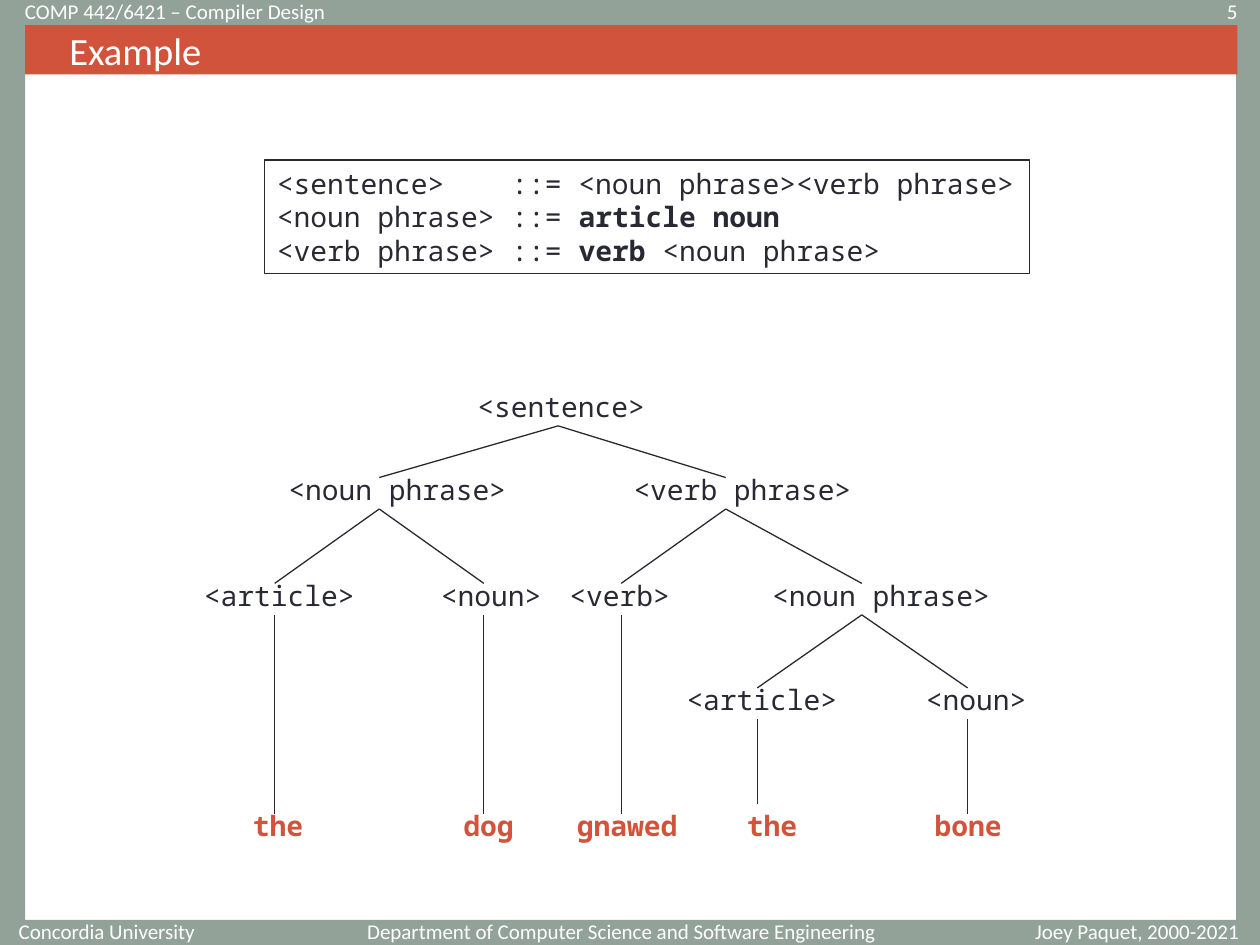
from dataclasses import dataclass

from lxml.etree import SubElement
from pptx import Presentation
from pptx.dml.color import RGBColor
from pptx.enum.shapes import MSO_CONNECTOR as Connector, MSO_SHAPE as Shape
from pptx.enum.text import MSO_ANCHOR as Anchor, PP_ALIGN as Align
from pptx.oxml.ns import qn
from pptx.util import Inches, Pt

WHITE, GREY, RED, INK = "FFFFFF", "93A299", "D2533C", "292934"
SANS, MONO = "Calibri", "Noto Sans Mono"
CHAR_WIDTH = 0.1333
EDGE_TOP, EDGE_BOTTOM = 0.09, 0.34  # where edges meet a node, below its top
PHRASE_ROW, PART_ROW, SUBPART_ROW, WORD_ROW = 3.7, 4.54, 5.37, 6.37


@dataclass
class Node:
    label: str
    left: float
    top: float
    joint: float
    children: tuple = ()
    edge_top: float = EDGE_TOP


def word(label, left, joint, edge_top=EDGE_TOP):
    return Node(label, left, WORD_ROW, joint, edge_top=edge_top)


PARSE_TREE = Node("<sentence>", 3.69, 3.04, 4.43, (
    Node("<noun phrase>", 2.19, PHRASE_ROW, 3.01, (
        Node("<article>", 1.52, PART_ROW, 2.18, (word("the", 1.91, 2.18),)),
        Node("<noun>", 3.4, PART_ROW, 3.84, (word("dog", 3.58, 3.84),)),
    )),
    Node("<verb phrase>", 4.93, PHRASE_ROW, 5.76, (
        Node("<verb>", 4.42, PART_ROW, 4.93, (word("gnawed", 4.48, 4.93),)),
        Node("<noun phrase>", 6.03, PART_ROW, 6.84, (
            Node("<article>", 5.35, SUBPART_ROW, 6.01,
                 (word("the", 5.83, 6.01, 0.01),)),
            Node("<noun>", 7.25, SUBPART_ROW, 7.68,
                 (word("bone", 7.32, 7.68),)),
        )),
    )),
))

# Each grammar rule is a list of (text, bold) runs
GRAMMAR = [
    [("<sentence>    ::= <noun phrase><verb phrase>", False)],
    [("<noun phrase> ::= ", False), ("article noun", True)],
    [("<verb phrase> ::= ", False), ("verb", True), (" <noun phrase>", False)],
]


def rgb(color):
    return RGBColor.from_string(color)


def add_run(paragraph, text, size, font, color, bold=False):
    run = paragraph.add_run()
    run.text = text
    run.font.size = Pt(size)
    run.font.name = font
    run.font.color.rgb = rgb(color)
    run.font.bold = bold


def add_rectangle(slide, left, top, width, height, fill=None, line=None):
    rectangle = slide.shapes.add_shape(
        Shape.RECTANGLE, Inches(left), Inches(top), Inches(width), Inches(height))
    rectangle.shadow.inherit = False
    if fill:
        rectangle.fill.solid()
        rectangle.fill.fore_color.rgb = rgb(fill)
    else:
        rectangle.fill.background()
    if line:
        rectangle.line.color.rgb = rgb(line)
        rectangle.line.width = Pt(0.75)
    else:
        rectangle.line.fill.background()
    return rectangle


def add_caption(slide, text, left, top, width, align):
    """Add a small white text on the frame."""
    caption = slide.shapes.add_textbox(
        Inches(left), Inches(top), Inches(width), Inches(0.12))
    frame = caption.text_frame
    frame.word_wrap = True
    frame.vertical_anchor = Anchor.MIDDLE
    frame.paragraphs[0].alignment = align
    add_run(frame.paragraphs[0], text, 12, SANS, WHITE)


def add_title(slide, text):
    banner = add_rectangle(slide, 0.2, 0.2, 9.62, 0.39, fill=RED)
    frame = banner.text_frame
    frame.margin_left = Inches(0.35)
    frame.vertical_anchor = Anchor.MIDDLE
    frame.paragraphs[0].alignment = Align.LEFT
    add_run(frame.paragraphs[0], text, 22, SANS, WHITE)


def add_grammar(slide):
    box = add_rectangle(slide, 2.1, 1.27, 6.07, 0.9, line=INK)
    frame = box.text_frame
    frame.word_wrap = False
    frame.vertical_anchor = Anchor.TOP
    for index, rule in enumerate(GRAMMAR):
        paragraph = frame.add_paragraph() if index else frame.paragraphs[0]
        paragraph.alignment = Align.LEFT
        for text, bold in rule:
            add_run(paragraph, text, 16, MONO, INK, bold)


def add_edge(slide, parent, child):
    edge = slide.shapes.add_connector(
        Connector.STRAIGHT,
        Inches(parent.joint), Inches(parent.top + EDGE_BOTTOM),
        Inches(child.joint), Inches(child.top + child.edge_top))
    edge.line.color.rgb = rgb(INK)
    edge.line.width = Pt(0.75)
    SubElement(edge._element.spPr, qn("a:effectLst"))


def add_tree(slide, node):
    """Add a node's label, then its edges and subtrees."""
    label = slide.shapes.add_textbox(
        Inches(node.left), Inches(node.top),
        Inches(0.2 + CHAR_WIDTH * len(node.label)), Inches(0.37))
    label.text_frame.word_wrap = False
    is_word = not node.children
    add_run(label.text_frame.paragraphs[0], node.label, 16, MONO,
            RED if is_word else INK, is_word)
    for child in node.children:
        add_edge(slide, node, child)
        add_tree(slide, child)


def add_page_frame(slide):
    for bar in [(0, 0, 10, 0.2), (0, 7.3, 10, 0.2),
                (0, 0, 0.2, 7.44), (9.81, 0.18, 0.19, 7.32)]:
        add_rectangle(slide, *bar, fill=GREY)
    header, footer = 0.03, 7.33
    add_caption(slide, "COMP 442/6421 – Compiler Design", 0.1, header, 5.6, Align.LEFT)
    add_caption(slide, "5", 8.75, header, 1.17, Align.RIGHT)
    add_caption(slide, "Concordia University", 0.05, footer, 1.67, Align.LEFT)
    add_caption(slide, "Department of Computer Science and Software Engineering",
                2.8, footer, 4.25, Align.RIGHT)
    add_caption(slide, "Joey Paquet, 2000-2021", 7.99, footer, 2.07, Align.CENTER)


def main():
    presentation = Presentation()
    presentation.slide_width = Inches(10)
    presentation.slide_height = Inches(7.5)
    slide = presentation.slides.add_slide(presentation.slide_layouts[6])
    add_page_frame(slide)
    add_title(slide, "Example")
    add_grammar(slide)
    add_tree(slide, PARSE_TREE)
    presentation.save("out.pptx")


if __name__ == "__main__":
    main()
